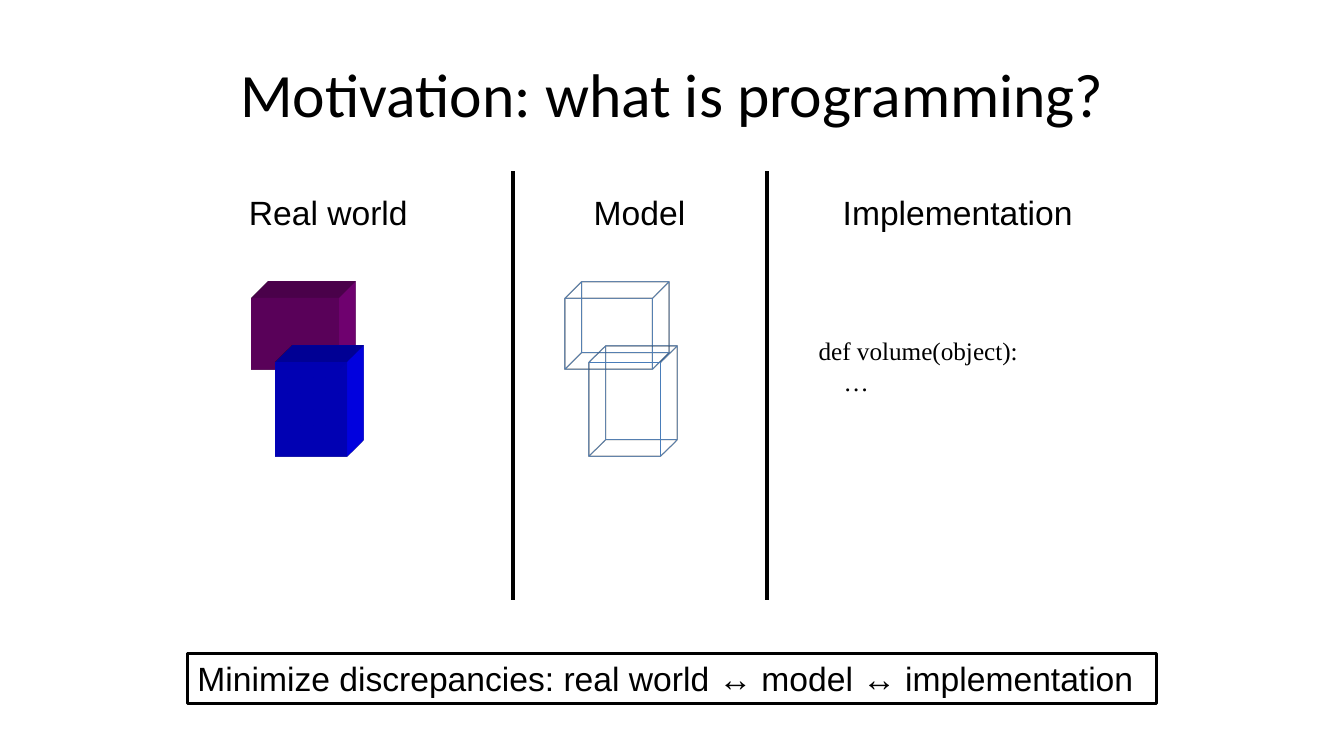
from dataclasses import dataclass

from lxml import etree
from pptx import Presentation
from pptx.dml.color import RGBColor
from pptx.enum.shapes import MSO_CONNECTOR, MSO_SHAPE
from pptx.enum.text import MSO_ANCHOR, PP_ALIGN
from pptx.oxml import parse_xml
from pptx.oxml.ns import nsdecls, qn
from pptx.slide import Slide
from pptx.util import Inches, Pt


@dataclass(frozen=True)
class Theme:
    ink: RGBColor = RGBColor(0, 0, 0)
    purple: RGBColor = RGBColor(0x80, 0, 0x80)
    blue: RGBColor = RGBColor(0, 0, 0xFF)
    title_font: str = "Calibri"
    body_font: str = "Arial"
    code_font: str = "Times New Roman"
    title_size: int = 44
    body_size: int = 24
    code_size: int = 18
    divider_width: int = 3
    frame_width: int = 2


@dataclass(frozen=True)
class Label:
    lines: tuple[str, ...]
    left: float
    top: float
    width: float
    height: float
    font: str
    size: int
    framed: bool = False


@dataclass(frozen=True)
class Block:
    left: float
    top: float
    width: float
    height: float
    color: RGBColor


T = Theme()
MODEL_SHIFT = 3.11
DIVIDERS = (5.09, 7.61)
BLOCKS = (
    Block(2.49, 2.96, 0.87, 0.71, T.purple),
    Block(2.73, 3.59, 0.71, 0.94, T.blue),
)
LABELS = (
    Label(("Real world",), 2.37, 1.85, 1.78, 0.5, T.body_font, T.body_size),
    Label(("Model",), 5.79, 1.85, 1.11, 0.5, T.body_font, T.body_size),
    Label(("Implementation",), 8.26, 1.85, 2.48, 0.5, T.body_font, T.body_size),
    Label(("def volume(object):", "    …"), 8.02, 3.28, 2.2, 0.71,
          T.code_font, T.code_size),
    Label(("Minimize discrepancies: real world ↔ model ↔ implementation",),
          1.86, 6.48, 9.61, 0.5, T.body_font, T.body_size, framed=True),
)


def add_title(s: Slide, text: str) -> None:
    sp = s.shapes.title
    sp.left, sp.top = Inches(0.67), Inches(0.3)
    sp.width, sp.height = Inches(12), Inches(1.25)
    tf = sp.text_frame
    tf.text = text
    tf.vertical_anchor = MSO_ANCHOR.MIDDLE
    p = tf.paragraphs[0]
    p.alignment = PP_ALIGN.CENTER
    p.font.name, p.font.size = T.title_font, Pt(T.title_size)
    p.font.color.rgb = T.ink


def add_label(s: Slide, label: Label) -> None:
    sp = s.shapes.add_textbox(Inches(label.left), Inches(label.top),
                              Inches(label.width), Inches(label.height))
    if label.framed:
        sp.line.color.rgb = T.ink
        sp.line.width = Pt(T.frame_width)
    tf = sp.text_frame
    tf.word_wrap = label.framed
    tf.text = "\n".join(label.lines)
    for p in tf.paragraphs:
        p.font.name, p.font.size = label.font, Pt(label.size)
        p.font.color.rgb = T.ink


def add_block(s: Slide, block: Block, shift: float, material: str) -> None:
    sp = s.shapes.add_shape(MSO_SHAPE.RECTANGLE,
                            Inches(block.left + shift), Inches(block.top),
                            Inches(block.width), Inches(block.height))
    sp.shadow.inherit = False
    sp.fill.solid()
    sp.fill.fore_color.rgb = block.color
    props = sp.element.spPr
    props.append(parse_xml(
        f'<a:scene3d {nsdecls("a")}><a:camera prst="legacyObliqueTopRight"/>'
        '<a:lightRig rig="legacyFlat3" dir="b"/></a:scene3d>'))
    props.append(parse_xml(
        f'<a:sp3d {nsdecls("a")} extrusionH="430200" prstMaterial="{material}">'
        '<a:bevelT w="13500" h="13500" prst="angle"/>'
        '<a:bevelB w="13500" h="13500" prst="angle"/>'
        f'<a:extrusionClr><a:srgbClr val="{block.color}"/></a:extrusionClr>'
        '</a:sp3d>'))


def add_divider(s: Slide, x: float) -> None:
    line = s.shapes.add_connector(MSO_CONNECTOR.STRAIGHT, Inches(x), Inches(1.7),
                                  Inches(x), Inches(5.95))
    line.line.color.rgb = T.ink
    line.line.width = Pt(T.divider_width)
    etree.SubElement(line.element.spPr, qn("a:effectLst"))


def main() -> None:
    prs = Presentation()
    prs.slide_width, prs.slide_height = Inches(13.33), Inches(7.5)
    s = prs.slides.add_slide(prs.slide_layouts[5])
    add_title(s, "Motivation: what is programming?")
    for shift, material in ((0, "legacyMatte"), (MODEL_SHIFT, "legacyWireframe")):
        for block in BLOCKS:
            add_block(s, block, shift, material)
    for x in DIVIDERS:
        add_divider(s, x)
    for label in LABELS:
        add_label(s, label)
    prs.save("out.pptx")


if __name__ == "__main__":
    main()
